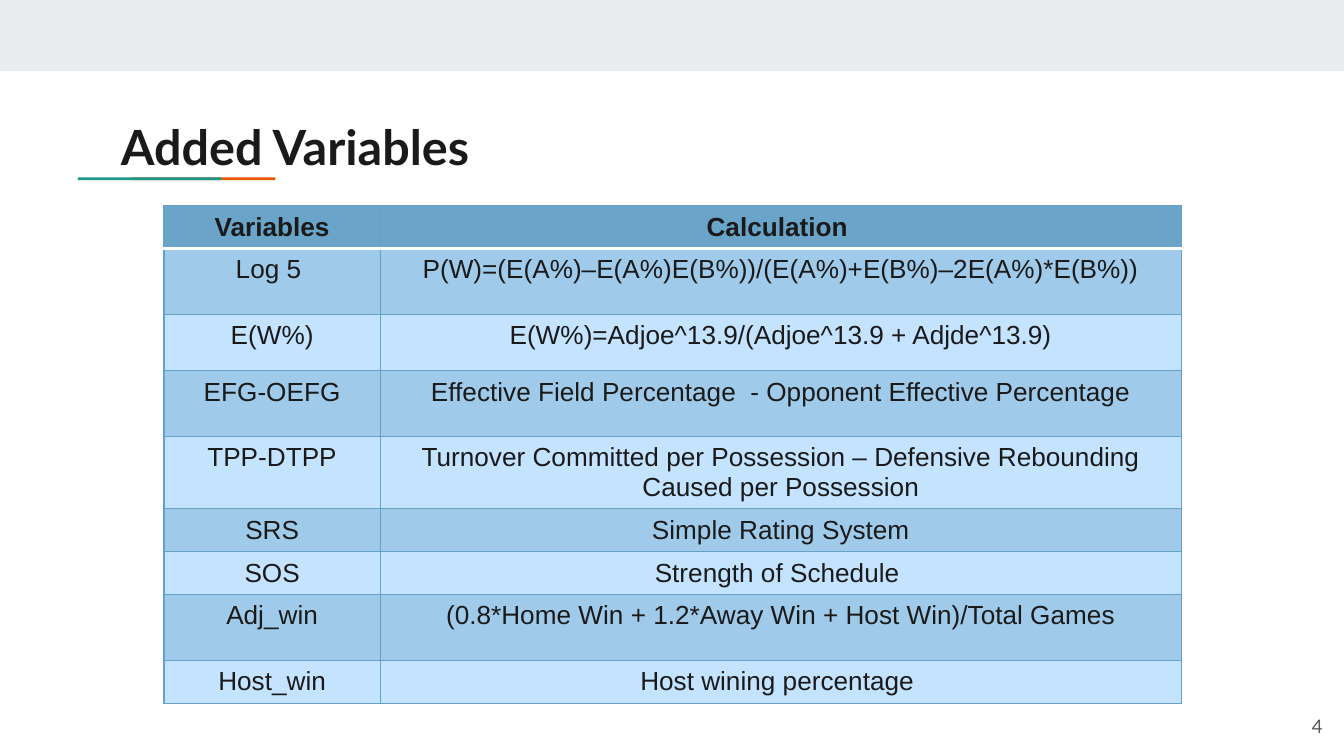
import pptx
import pptx.util
import pptx.dml.color
import pptx.enum.shapes
import pptx.enum.text
import pptx.oxml.ns
import lxml.etree

Inches = pptx.util.Inches
Pt = pptx.util.Pt
ALIGN = pptx.enum.text.PP_ALIGN
ANCHOR = pptx.enum.text.MSO_ANCHOR

INK = "1A1A1A"
HEADER, DARK, LIGHT = "6AA4C8", "9FCAE9", "C3E3FF"
GRID = "65A1C6"
ROWS = [
    ("Variables", "Calculation ", 0.29),
    ("Log 5 ", "P(W)=(E(A%)–E(A%)E(B%))/(E(A%)+E(B%)–2E(A%)*E(B%))", 0.49),
    ("E(W%)", "E(W%)=Adjoe^13.9/(Adjoe^13.9 + Adjde^13.9)", 0.42),
    ("EFG-OEFG", "Effective Field Percentage  - Opponent Effective Percentage", 0.49),
    ("TPP-DTPP", "Turnover Committed per Possession – Defensive Rebounding "
                 "Caused per Possession", 0.49),
    ("SRS", "Simple Rating System", 0.29),
    ("SOS", "Strength of Schedule ", 0.29),
    ("Adj_win", "(0.8*Home Win + 1.2*Away Win + Host Win)/Total Games", 0.49),
    ("Host_win", "Host wining percentage ", 0.29),
]


def color(value):
    return pptx.dml.color.RGBColor.from_string(value)


def add_run(p, text, font, size, ink, bold=False):
    r = p.add_run()
    r.text = text
    r.font.name = font
    r.font.size = Pt(size)
    r.font.bold = bold
    r.font.color.rgb = color(ink)


def add_bar(s, left, top, width, height, fill):
    sp = s.shapes.add_shape(pptx.enum.shapes.MSO_SHAPE.RECTANGLE, Inches(left),
                            Inches(top), Inches(width), Inches(height))
    sp.shadow.inherit = False
    sp.fill.solid()
    sp.fill.fore_color.rgb = color(fill)
    sp.line.fill.background()


def set_frame(tf, anchor):
    tf.word_wrap = True
    tf.auto_size = pptx.enum.text.MSO_AUTO_SIZE.NONE
    tf.vertical_anchor = anchor
    tf.margin_left = tf.margin_right = Inches(0.1)
    tf.margin_top = tf.margin_bottom = Inches(0.1)


def add_heading(s, left, top, width, height):
    length, thickness = 1.07, 0.02
    for dx, fill in ((0.18, "EB5600"), (-0.22, "1A9988")):
        add_bar(s, left + dx, top + height - 0.04, length, thickness, fill)
    sp = s.shapes.title
    sp.left, sp.top = Inches(left), Inches(top)
    sp.width, sp.height = Inches(width), Inches(height)
    set_frame(sp.text_frame, ANCHOR.TOP)
    p = sp.text_frame.paragraphs[0]
    p.alignment = ALIGN.LEFT
    add_run(p, "Added Variables", "Lato", 26, INK, True)


def set_border(cell, side, value, width):
    tcPr = cell._tc.get_or_add_tcPr()
    qn = pptx.oxml.ns.qn
    ln = lxml.etree.SubElement(tcPr, qn("a:ln" + side), w=str(Pt(width)))
    fill = lxml.etree.SubElement(ln, qn("a:solidFill"))
    lxml.etree.SubElement(fill, qn("a:srgbClr"), val=value)


def add_variables(s, left, top, width, height):
    table = s.shapes.add_table(len(ROWS), 2, Inches(left), Inches(top),
                               Inches(width), Inches(height)).table
    table.columns[0].width = Inches(1.61)
    table.columns[1].width = Inches(width - 1.61)
    for i, (name, formula, row_height) in enumerate(ROWS):
        table.rows[i].height = Inches(row_height)
        for j, text in enumerate((name, formula)):
            cell = table.cell(i, j)
            for side in "LRTB":
                under_header = (i, side) in ((0, "B"), (1, "T"))
                set_border(cell, side, *(("FFFFFF", 2) if under_header else (GRID, 0.75)))
            cell.fill.solid()
            cell.fill.fore_color.rgb = color(HEADER if i == 0 else DARK if i % 2 else LIGHT)
            p = cell.text_frame.paragraphs[0]
            p.alignment = ALIGN.CENTER
            add_run(p, text, "Arial", 14, INK, i == 0)


def add_page_number(s, left, top, width, height):
    sp = s.shapes.add_textbox(Inches(left), Inches(top), Inches(width), Inches(height))
    set_frame(sp.text_frame, ANCHOR.MIDDLE)
    p = sp.text_frame.paragraphs[0]
    p.alignment = ALIGN.RIGHT
    add_run(p, "4", "Lato", 10, "595959")


def main():
    prs = pptx.Presentation()
    prs.slide_width = Inches(10)
    prs.slide_height = prs.slide_width * 9 // 16
    s = prs.slides.add_slide(prs.slide_layouts[5])
    add_bar(s, 0, 0, 10, 0.53, "E9EDEE")
    add_heading(s, 0.8, 0.77, 8.41, 0.59)
    add_variables(s, 1.22, 1.53, 7.57, 3.8)
    add_page_number(s, 9.34, 5.19, 0.6, 0.43)
    prs.save("out.pptx")


if __name__ == "__main__":
    main()
